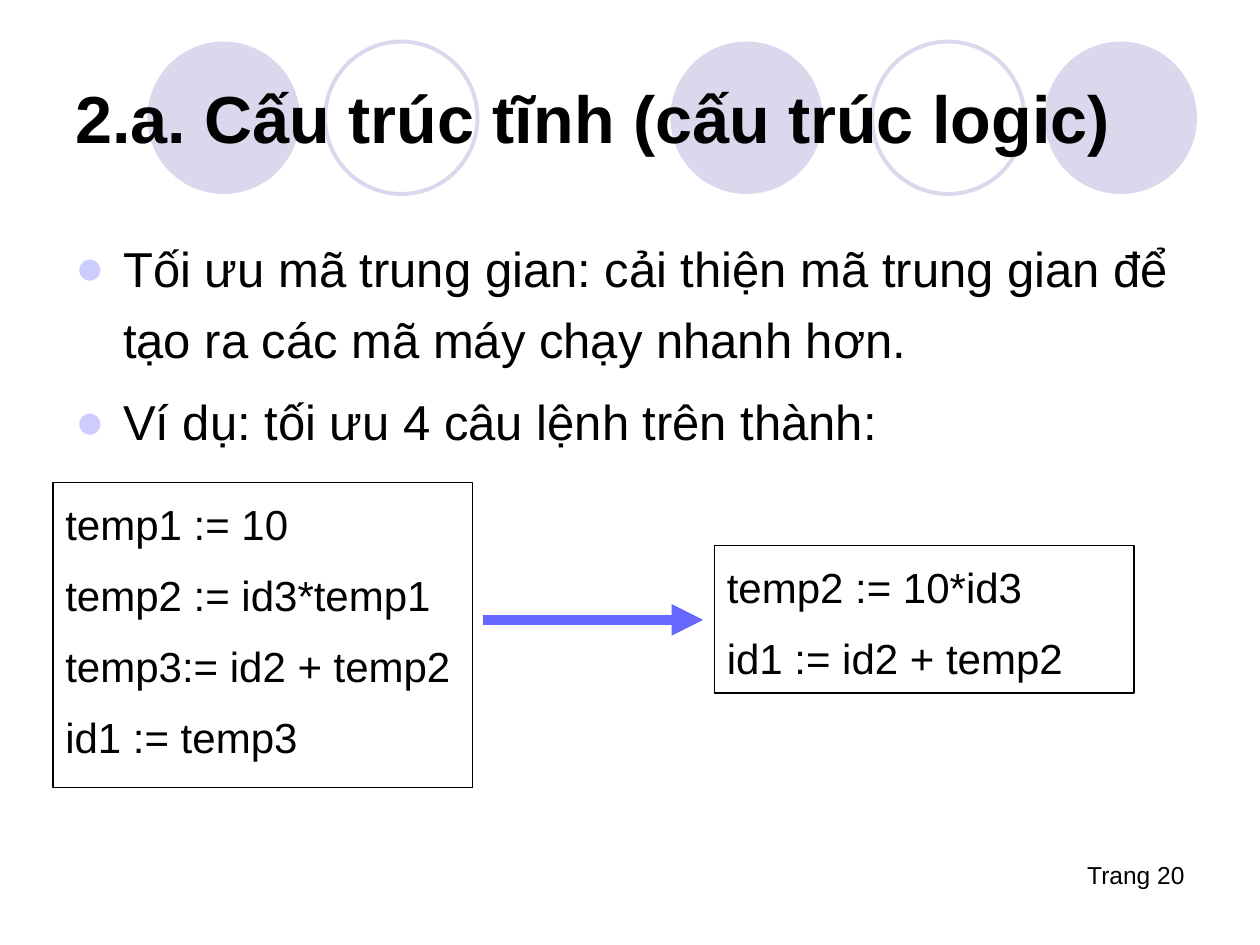
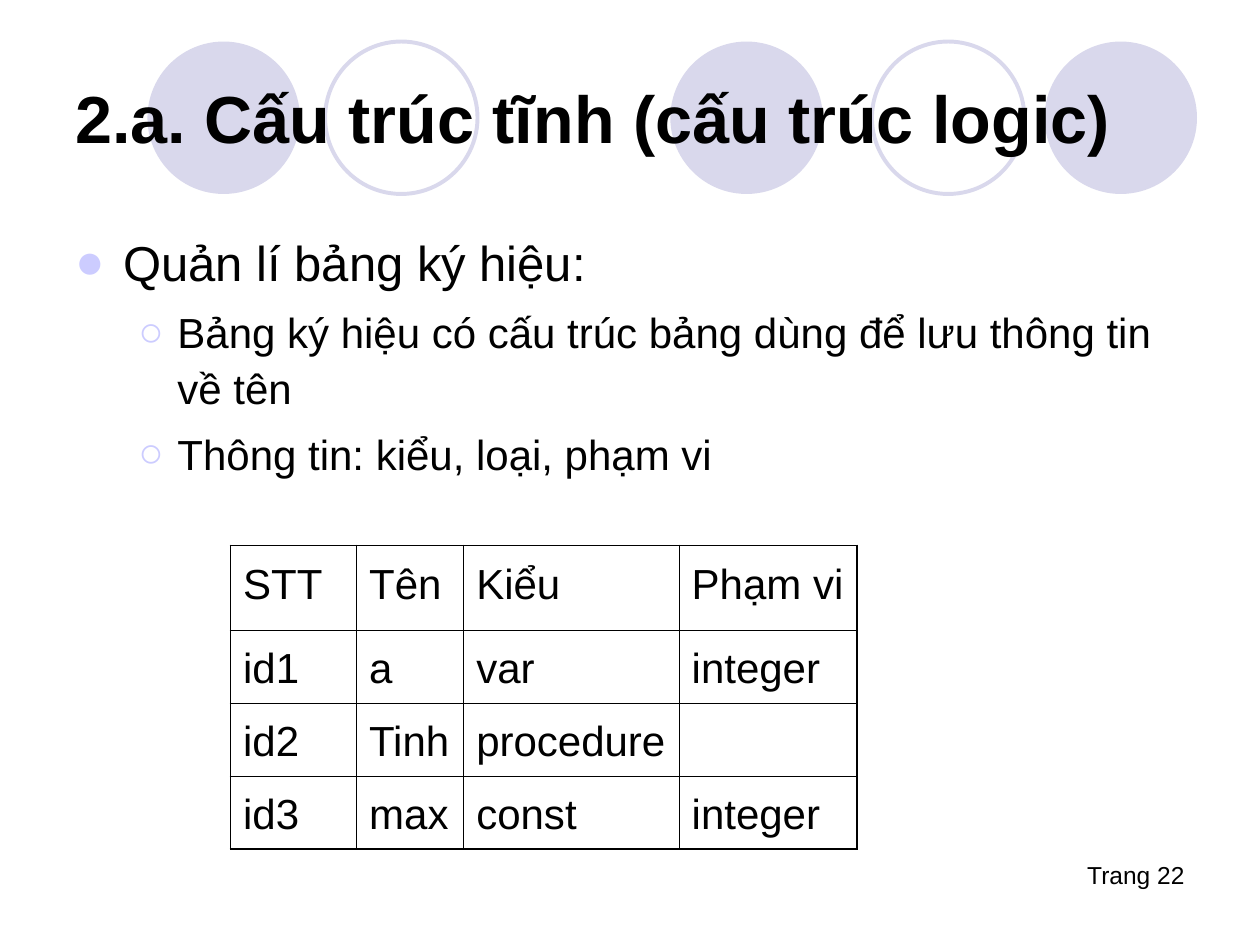
from lxml.etree import SubElement
from pptx import Presentation
from pptx.dml.color import RGBColor
from pptx.enum.shapes import MSO_CONNECTOR, MSO_SHAPE
from pptx.enum.text import MSO_ANCHOR, PP_ALIGN
from pptx.oxml.ns import qn
from pptx.util import Inches, Pt

BLACK = RGBColor(0x00, 0x00, 0x00)
LAVENDER = RGBColor(0xD9, 0xD8, 0xEC)
BULLET = RGBColor(0xCC, 0xCC, 0xFF)
ARROW = RGBColor(0x67, 0x67, 0xFF)
FONT = "Arial"
TITLE = "2.a. Cấu trúc tĩnh (cấu trúc logic)"
CIRCLE_SIZE = 1.21
CIRCLES = [(5.32, True), (8.29, True), (1.17, True), (6.92, False), (2.58, False)]
LEVELS = [
    {"char": "●", "size": 28, "before": 7, "margin": 0.38, "indent": -0.38},
    {"char": "○", "size": 24, "before": 6, "margin": 0.81, "indent": -0.31},
]
CODE_SIZE = 24
CODE_FORMAT = {"line_spacing": 1.2, "alignment": PP_ALIGN.LEFT}
OUTER, INNER = 1.08, 0.45


def set_format(target, values):
    """Set each named attribute of target."""
    for name, value in values.items():
        setattr(target, name, value)


def box(left, top, width, height):
    """Turn a position and size in inches into lengths."""
    return [Inches(v) for v in (left, top, width, height)]


def write(p, text, size, bold=False, **layout):
    """Write one run of black text in a paragraph."""
    set_format(p, layout)
    r = p.add_run()
    r.text = text
    set_format(r.font, {"name": FONT, "size": Pt(size), "bold": bold})
    r.font.color.rgb = BLACK


def paragraphs(tf, count):
    """Yield the first paragraph of a frame and then new ones."""
    yield tf.paragraphs[0]
    for _ in range(count - 1):
        yield tf.add_paragraph()


def add_text(s, place, anchor=MSO_ANCHOR.TOP):
    """Add a wrapping text box and return its frame."""
    tf = s.shapes.add_textbox(*box(*place)).text_frame
    set_format(tf, {"word_wrap": True, "vertical_anchor": anchor})
    return tf


def add_outline(sp, color, width):
    """Leave a shape unfilled with a plain outline."""
    sp.fill.background()
    sp.line.color.rgb = color
    sp.line.width = Pt(width)


def add_circle(s, left, filled):
    """Add one circle of the title band."""
    place = box(left, 0.33, CIRCLE_SIZE, CIRCLE_SIZE)
    sp = s.shapes.add_shape(MSO_SHAPE.OVAL, *place)
    sp.shadow.inherit = False
    if filled:
        sp.fill.solid()
        sp.fill.fore_color.rgb = LAVENDER
        sp.line.fill.background()
    else:
        add_outline(sp, LAVENDER, 2.25)


def add_base(prs, page):
    """Add a slide with the circle band, page number and title."""
    s = prs.slides.add_slide(prs.slide_layouts[6])
    for left, filled in CIRCLES:
        add_circle(s, left, filled)
    tf = add_text(s, (7.17, 6.78, 2.33, 0.5))
    write(tf.paragraphs[0], f"Trang {page}", 14, alignment=PP_ALIGN.RIGHT)
    tf = add_text(s, (0.5, 0.3, 9, 1.25), MSO_ANCHOR.MIDDLE)
    write(tf.paragraphs[0], TITLE, 38, bold=True)
    return s


def set_bullet(p, level):
    """Give a paragraph the indent and bullet of a level."""
    pPr = p._p.get_or_add_pPr()
    pPr.set("marL", str(Inches(level["margin"])))
    pPr.set("indent", str(Inches(level["indent"])))
    color = SubElement(pPr, qn("a:buClr"))
    SubElement(color, qn("a:srgbClr"), val=str(BULLET))
    SubElement(pPr, qn("a:buFont"), typeface=FONT)
    SubElement(pPr, qn("a:buChar"), char=level["char"])


def add_bullets(s, place, items, spacing):
    """Add a bulleted list of (level, text) items."""
    tf = add_text(s, place)
    for i, (p, (depth, text)) in enumerate(zip(paragraphs(tf, len(items)), items)):
        level = LEVELS[depth]
        set_bullet(p, level)
        before = Pt(level["before"] if i else 0)
        write(p, text, level["size"], line_spacing=spacing, space_before=before)


def add_code_box(s, place, lines):
    """Add an outlined box with one paragraph per code line."""
    sp = s.shapes.add_shape(MSO_SHAPE.RECTANGLE, *box(*place))
    sp.shadow.inherit = False
    add_outline(sp, BLACK, 1)
    tf = sp.text_frame
    set_format(tf, {"word_wrap": True, "vertical_anchor": MSO_ANCHOR.TOP})
    for i, (p, line) in enumerate(zip(paragraphs(tf, len(lines)), lines)):
        write(p, line, CODE_SIZE, space_before=Pt(6 if i else 0), **CODE_FORMAT)


def add_arrow(s, start, end, y):
    """Add a thick horizontal arrow."""
    ends = [Inches(v) for v in (start, y, end, y)]
    line = s.shapes.add_connector(MSO_CONNECTOR.STRAIGHT, *ends)
    line.line.color.rgb = ARROW
    line.line.width = Pt(6)
    SubElement(line.line._get_or_add_ln(), qn("a:tailEnd"), type="triangle")
    SubElement(line._element.spPr, qn("a:effectLst"))


def set_borders(cell, widths):
    """Draw the four black borders of a cell."""
    tcPr = cell._tc.get_or_add_tcPr()
    for side, width in widths.items():
        ln = SubElement(tcPr, qn(f"a:ln{side}"), w=str(Pt(width)))
        fill = SubElement(ln, qn("a:solidFill"))
        SubElement(fill, qn("a:srgbClr"), val=str(BLACK))


def add_symbol_table(s, left, top, widths, heights, rows):
    """Add an unfilled table with a heavier outer border."""
    place = box(left, top, sum(widths), sum(heights))
    table = s.shapes.add_table(len(rows), len(widths), *place).table
    set_format(table, {"first_row": False, "horz_banding": False})
    for column, width in zip(table.columns, widths):
        column.width = Inches(width)
    for row, height in zip(table.rows, heights):
        row.height = Inches(height)
    last_row, last_column = len(rows) - 1, len(widths) - 1
    for i, row in enumerate(rows):
        for j, text in enumerate(row):
            cell = table.cell(i, j)
            edges = {"L": j == 0, "R": j == last_column, "T": i == 0, "B": i == last_row}
            set_borders(cell, {k: OUTER if edge else INNER for k, edge in edges.items()})
            cell.fill.background()
            if text:
                write(cell.text_frame.paragraphs[0], text, CODE_SIZE, **CODE_FORMAT)


def add_optimisation_slide(prs):
    """Build the slide on optimising intermediate code."""
    s = add_base(prs, 20)
    add_bullets(s, (0.5, 1.75, 9, 1.92), [
        (0, "Tối ưu mã trung gian: cải thiện mã trung gian để tạo ra các mã máy chạy nhanh hơn."),
        (0, "Ví dụ: tối ưu 4 câu lệnh trên thành:"),
    ], 1.2)
    add_code_box(s, (0.42, 3.83, 3.33, 2.42), [
        "temp1 := 10", "temp2 := id3*temp1", "temp3:= id2 + temp2", "id1 := temp3",
    ])
    add_code_box(s, (5.67, 4.33, 3.33, 1.17), ["temp2 := 10*id3", "id1 := id2 + temp2"])
    add_arrow(s, 3.83, 5.58, 4.92)


def add_symbol_slide(prs):
    """Build the slide on the symbol table."""
    s = add_base(prs, 22)
    add_bullets(s, (0.5, 1.75, 8.92, 2.17), [
        (0, "Quản lí bảng ký hiệu:"),
        (1, "Bảng ký hiệu có cấu trúc bảng dùng để lưu thông tin về tên"),
        (1, "Thông tin: kiểu, loại, phạm vi"),
    ], 1.1)
    rows = [
        ("STT", "Tên", "Kiểu", "Phạm vi"),
        ("id1", "a", "var", "integer"),
        ("id2", "Tinh", "procedure", ""),
        ("id3", "max", "const", "integer"),
    ]
    add_symbol_table(s, 1.83, 4.33, [1, 0.85, 1.71, 1.41], [0.67] + [0.58] * 3, rows)


def main():
    """Build both slides and save the file."""
    prs = Presentation()
    set_format(prs, {"slide_width": Inches(10), "slide_height": Inches(7.5)})
    add_optimisation_slide(prs)
    add_symbol_slide(prs)
    prs.save("out.pptx")


if __name__ == "__main__":
    main()
